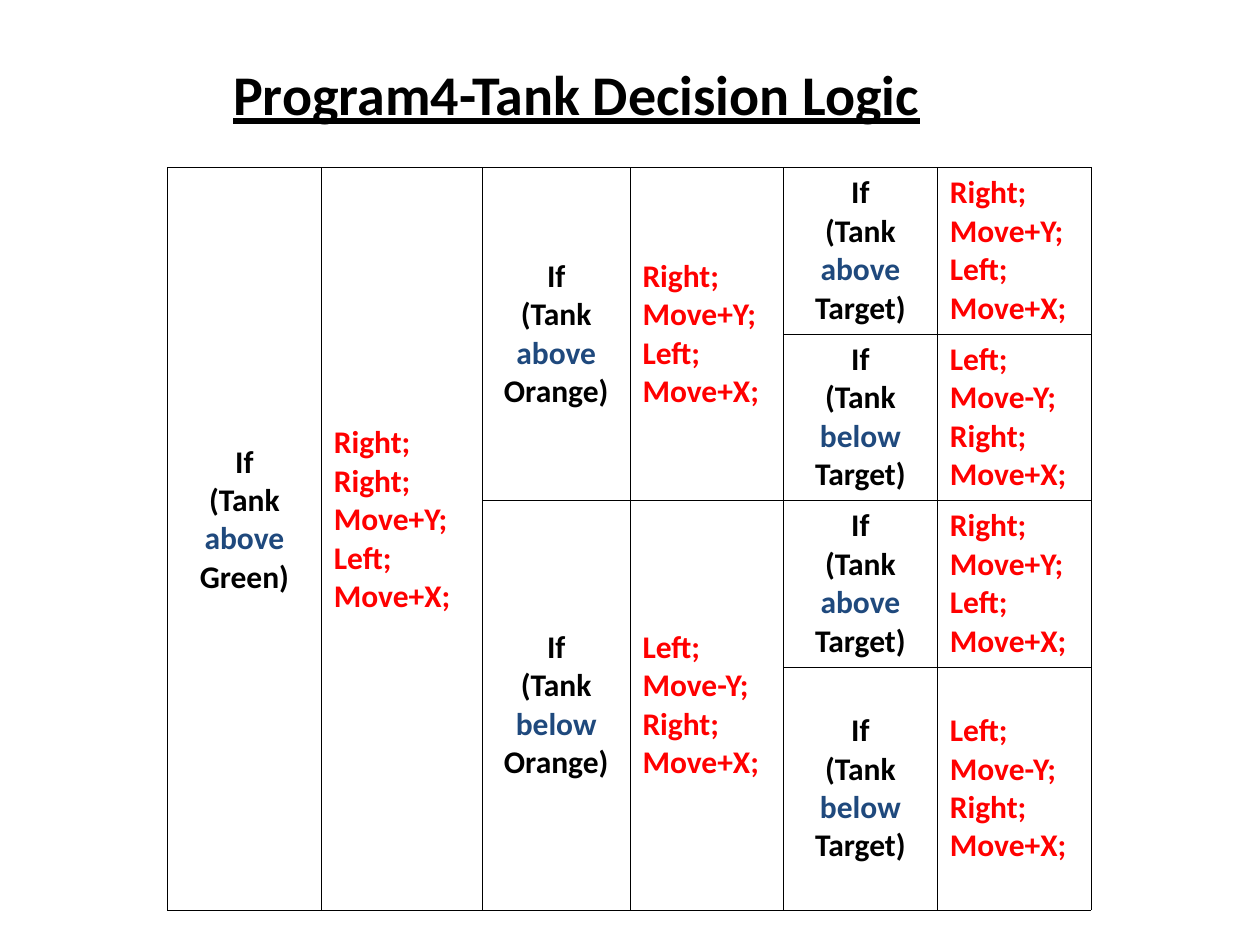
from lxml.etree import SubElement
from pptx import Presentation
from pptx.dml.color import RGBColor
from pptx.enum.text import MSO_ANCHOR, MSO_AUTO_SIZE, PP_ALIGN
from pptx.oxml.ns import qn
from pptx.util import Inches, Pt

BLACK, BLUE, RED = "000000", "1F497D", "FF0000"
COLUMN_WIDTHS = [1.22, 1.28, 1.17, 1.22, 1.22, 1.22]
ROW_HEIGHTS = [1.32, 1.32, 1.32, 1.93]
LINE_HEIGHT = 0.3
MOVES = {
    "above": ["Right;", "Move+Y;", "Left;", "Move+X;"],
    "below": ["Left;", "Move-Y;", "Right;", "Move+X;"],
}


def set_font(font, size, color):
    font.name = "Calibri"
    font.size = Pt(size)
    font.bold = True
    font.color.rgb = RGBColor.from_string(color)


def add_title(page, text):
    title = page.shapes.title
    title.left, title.top = Inches(1.75), Inches(0.42)
    title.width, title.height = Inches(6.67), Inches(0.64)
    frame = title.text_frame
    frame.text = text
    frame.auto_size = MSO_AUTO_SIZE.NONE
    frame.vertical_anchor = MSO_ANCHOR.TOP
    para = frame.paragraphs[0]
    para.alignment = PP_ALIGN.LEFT
    set_font(para.font, 32, BLACK)
    para.font.underline = True


def style_cell(cell):
    cell.vertical_anchor = MSO_ANCHOR.MIDDLE
    properties = cell._tc.get_or_add_tcPr()
    for side in ("a:lnL", "a:lnR", "a:lnT", "a:lnB"):
        line = SubElement(properties, qn(side), w=str(Pt(0.45)))
        fill = SubElement(line, qn("a:solidFill"))
        SubElement(fill, qn("a:srgbClr"), val=BLACK)
    cell.fill.background()


def add_grid(page):
    frame = page.shapes.add_table(
        len(ROW_HEIGHTS), len(COLUMN_WIDTHS), Inches(1.33), Inches(1.33),
        Inches(sum(COLUMN_WIDTHS)), Inches(sum(ROW_HEIGHTS)))
    table = frame.table
    table.first_row = table.horz_banding = False
    for column, width in zip(table.columns, COLUMN_WIDTHS):
        column.width = Inches(width)
    for row, height in zip(table.rows, ROW_HEIGHTS):
        row.height = Inches(height)
    for cell in table.iter_cells():
        style_cell(cell)
    return table


def write_condition(cell, relation, landmark):
    frame = cell.text_frame
    frame.text = "If"
    para = frame.add_paragraph()
    for text, color in (("(Tank ", BLACK), (relation, BLUE), (f" {landmark})", BLACK)):
        span = para.add_run()
        span.text = text
        set_font(span.font, 18, color)
    set_font(frame.paragraphs[0].font, 18, BLACK)
    for para in frame.paragraphs:
        para.alignment = PP_ALIGN.CENTER


def write_moves(cell, moves):
    frame = cell.text_frame
    frame.text = "\n".join(moves)
    for para in frame.paragraphs:
        set_font(para.font, 18, RED)


def add_decision(table, row, column, rows, relation, landmark, moves):
    condition, action = table.cell(row, column), table.cell(row, column + 1)
    if rows > 1:
        for cell in (condition, action):
            cell.merge(table.cell(row + rows - 1, column + (cell is action)))
    write_condition(condition, relation, landmark)
    write_moves(action, moves)


def main():
    deck = Presentation()
    deck.slide_width, deck.slide_height = Inches(10), Inches(7.5)
    page = deck.slides.add_slide(deck.slide_layouts[5])
    add_title(page, "Program4-Tank Decision Logic")
    table = add_grid(page)
    add_decision(table, 0, 0, 4, "above", "Green", ["Right;"] + MOVES["above"])
    for column, rows, landmark in ((2, 2, "Orange"), (4, 1, "Target")):
        for index, row in enumerate(range(0, len(ROW_HEIGHTS), rows)):
            relation = ("above", "below")[index % 2]
            add_decision(table, row, column, rows, relation, landmark, MOVES[relation])
    for column in (0, 1):
        table.cell(0, column).margin_bottom = Inches(0.05 + LINE_HEIGHT)
    deck.save("out.pptx")


main()
